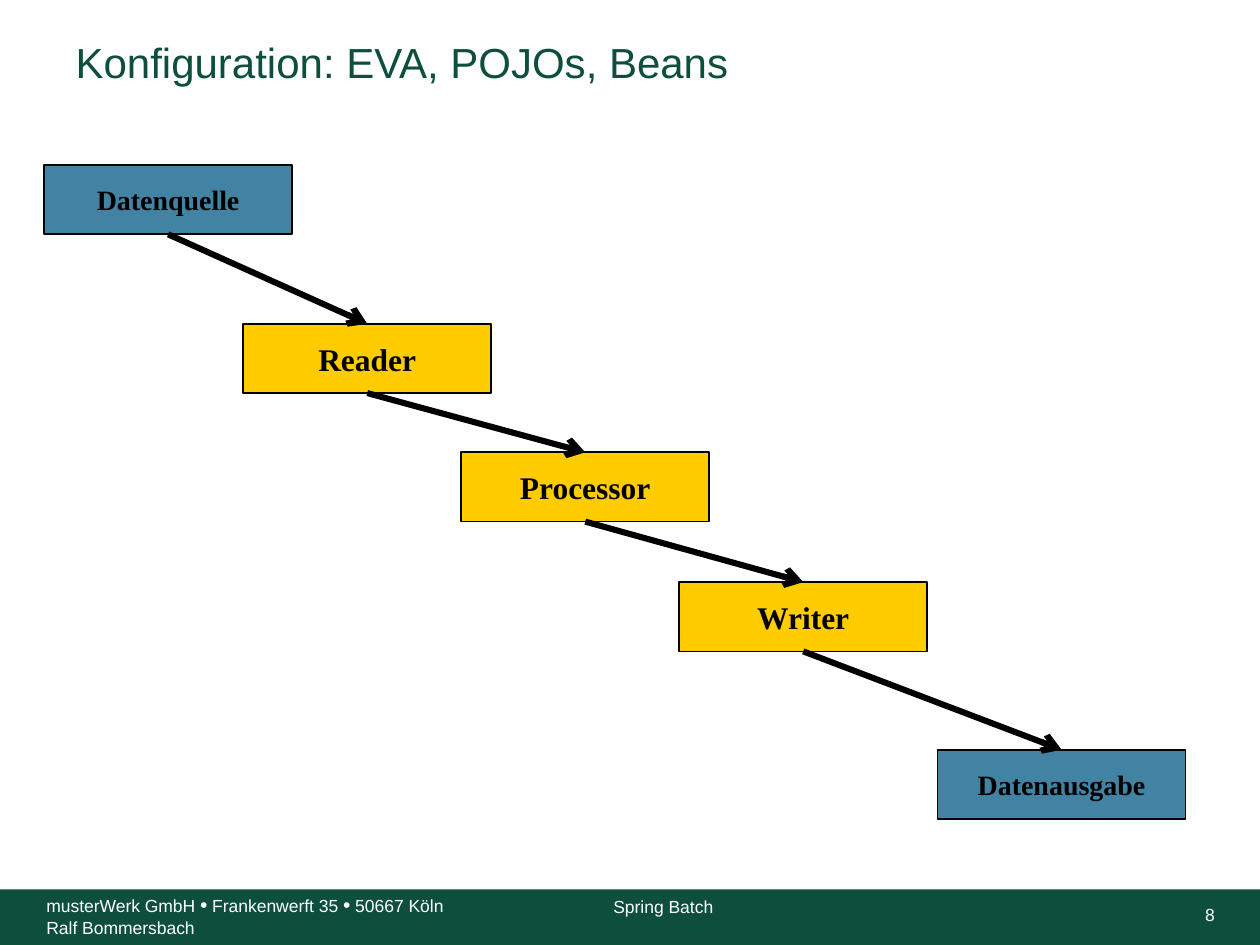
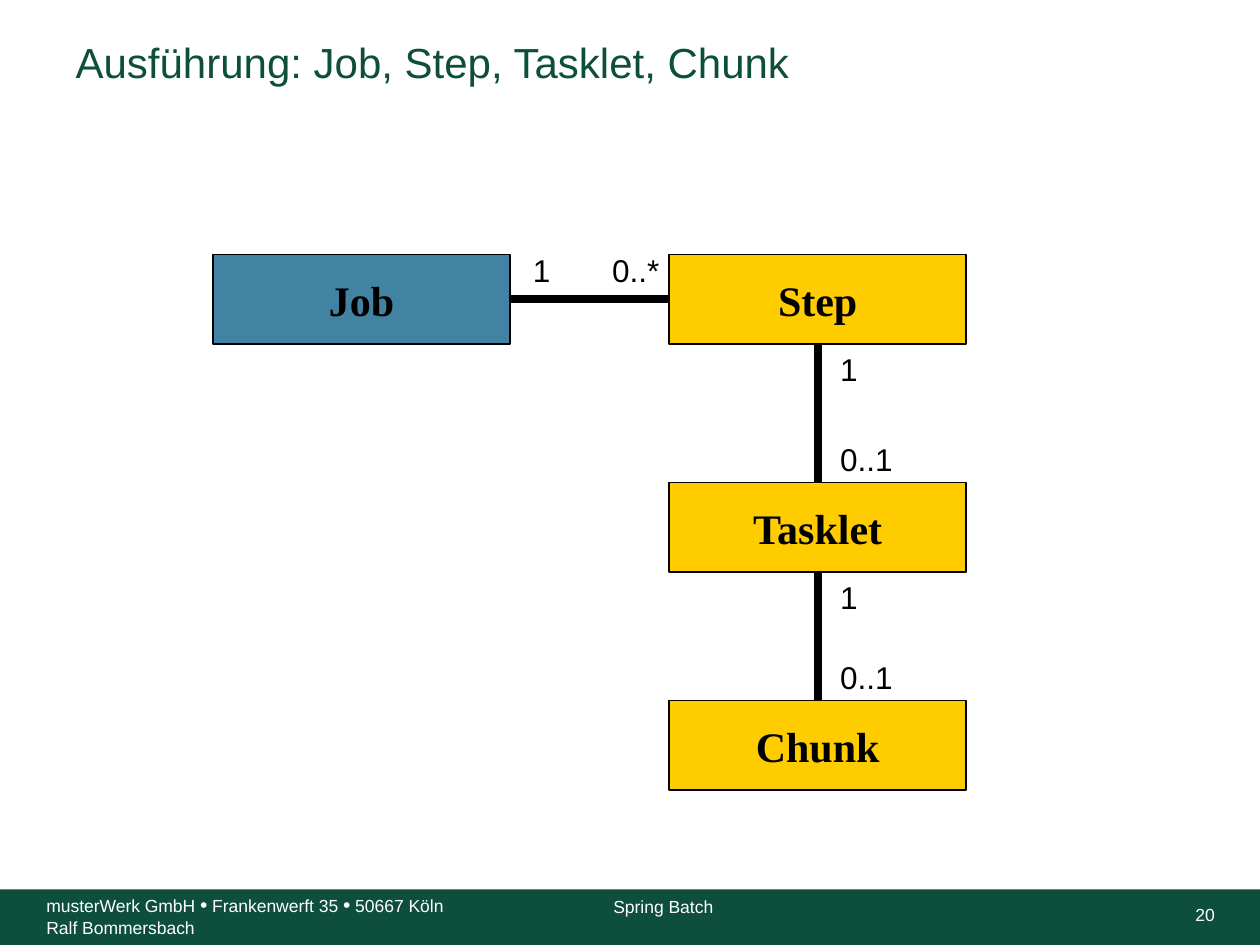
from itertools import pairwise

from lxml.etree import SubElement
from pptx import Presentation
from pptx.dml.color import RGBColor
from pptx.enum.shapes import MSO_CONNECTOR as Connector
from pptx.enum.shapes import MSO_SHAPE as Shape
from pptx.enum.text import MSO_ANCHOR as Anchor
from pptx.enum.text import PP_ALIGN as Align
from pptx.oxml.ns import qn
from pptx.util import Inches, Pt

COLORS = {
    "green": "0D4F3C",
    "blue": "4283A3",
    "yellow": "FFCC00",
    "black": "000000",
    "white": "FFFFFF",
}
SANS = "Arial"
SERIF = "Times New Roman"
TOP, LEFT, BOTTOM, RIGHT = range(4)
TITLE_ONLY = 5
ADDRESS = ("musterWerk GmbH ", "•", " Frankenwerft 35 ", "•", " 50667 Köln")


def rgb(name):
    return RGBColor.from_string(COLORS[name])


def write(frame, *paragraphs, size=18, font=SANS, color="black", bold=False,
          align=Align.LEFT, anchor=Anchor.MIDDLE, spacing=None, bullet_size=12):
    frame.word_wrap = True
    frame.vertical_anchor = anchor
    for index, pieces in enumerate(paragraphs):
        paragraph = frame.add_paragraph() if index else frame.paragraphs[0]
        paragraph.alignment = align
        paragraph.line_spacing = spacing
        for piece in [pieces] if isinstance(pieces, str) else pieces:
            run = paragraph.add_run()
            run.text = piece
            run.font.size = Pt(bullet_size if piece == "•" else size)
            run.font.name = font
            run.font.bold = bold
            run.font.color.rgb = rgb(color)


class Deck:
    def __init__(self):
        self.presentation = Presentation()
        self.presentation.slide_width = Inches(10)
        self.presentation.slide_height = Inches(7.5)
        self.slide = None

    def start(self, title, number):
        layout = self.presentation.slide_layouts[TITLE_ONLY]
        self.slide = self.presentation.slides.add_slide(layout)
        heading = self.slide.shapes.title
        heading.left, heading.top = Inches(0.5), Inches(0.13)
        heading.width, heading.height = Inches(6.07), Inches(0.77)
        write(heading.text_frame, title, size=24, color="green", spacing=0.9)
        self.footer(number)

    def footer(self, number):
        self.rectangle(0, 7.06, 10, 0.44, "green")
        style = {"size": 10, "color": "white"}
        self.label(8.91, 7.12, 0.83, 0.27, str(number), align=Align.RIGHT, **style)
        self.label(0.27, 7.03, 3.6, 0.47, ADDRESS, "Ralf Bommersbach",
                   anchor=Anchor.TOP, **style)
        self.label(4.77, 7.06, 1.2, 0.27, "Spring Batch", anchor=Anchor.TOP, **style)

    def rectangle(self, left, top, width, height, fill):
        area = self.slide.shapes.add_shape(
            Shape.RECTANGLE, Inches(left), Inches(top), Inches(width), Inches(height))
        area.shadow.inherit = False
        area.fill.solid()
        area.fill.fore_color.rgb = rgb(fill)
        area.line.fill.background()
        return area

    def box(self, left, top, width, height, text, fill, size):
        node = self.rectangle(left, top, width, height, fill)
        node.line.color.rgb = rgb("black")
        node.line.width = Pt(1)
        write(node.text_frame, text, size=size, font=SERIF, bold=True,
              align=Align.CENTER)
        return node

    def label(self, left, top, width, height, *paragraphs, **style):
        caption = self.slide.shapes.add_textbox(
            Inches(left), Inches(top), Inches(width), Inches(height))
        write(caption.text_frame, *paragraphs, **style)

    def link(self, source, target, width, start=BOTTOM, end=TOP, arrow=False):
        edge = self.slide.shapes.add_connector(Connector.STRAIGHT, 0, 0, 0, 0)
        edge.begin_connect(source, start)
        edge.end_connect(target, end)
        edge.line.color.rgb = rgb("black")
        edge.line.width = Pt(width)
        if arrow:
            SubElement(edge.line._get_or_add_ln(), qn("a:tailEnd"), type="arrow")
        SubElement(edge._element.spPr, qn("a:effectLst"))


def build_configuration(deck):
    deck.start("Konfiguration: EVA, POJOs, Beans", 8)
    stages = [
        ("Datenquelle", 0.35, 1.31, "blue", 16),
        ("Reader", 1.93, 2.57, "yellow", 18),
        ("Processor", 3.66, 3.59, "yellow", 18),
        ("Writer", 5.39, 4.62, "yellow", 18),
        ("Datenausgabe", 7.44, 5.95, "blue", 16),
    ]
    chain = [deck.box(left, top, 1.97, 0.55, name, fill, size)
             for name, left, top, fill, size in stages]
    for source, target in pairwise(chain):
        deck.link(source, target, 3.5, arrow=True)


def build_execution(deck):
    deck.start("Ausführung: Job, Step, Tasklet, Chunk", 20)
    width, height, column = 2.36, 0.71, 5.31
    job = deck.box(1.69, 2.02, width, height, "Job", "blue", 24)
    levels = {"Step": 2.02, "Tasklet": 3.83, "Chunk": 5.56}
    parts = [deck.box(column, top, width, height, name, "yellow", 24)
             for name, top in levels.items()]
    deck.link(job, parts[0], 4.5, start=RIGHT, end=LEFT)
    deck.label(4.13, 1.94, 0.39, 0.4, "1")
    deck.label(4.76, 1.94, 0.79, 0.4, "0..*")
    for source, target in pairwise(parts):
        deck.link(source, target, 4.5)
    for upper, lower in pairwise(levels.values()):
        deck.label(6.57, upper + height, 0.39, 0.4, "1")
        deck.label(6.57, lower - 0.39, 0.79, 0.4, "0..1")


def main():
    deck = Deck()
    build_configuration(deck)
    build_execution(deck)
    deck.presentation.save("out.pptx")


if __name__ == "__main__":
    main()
